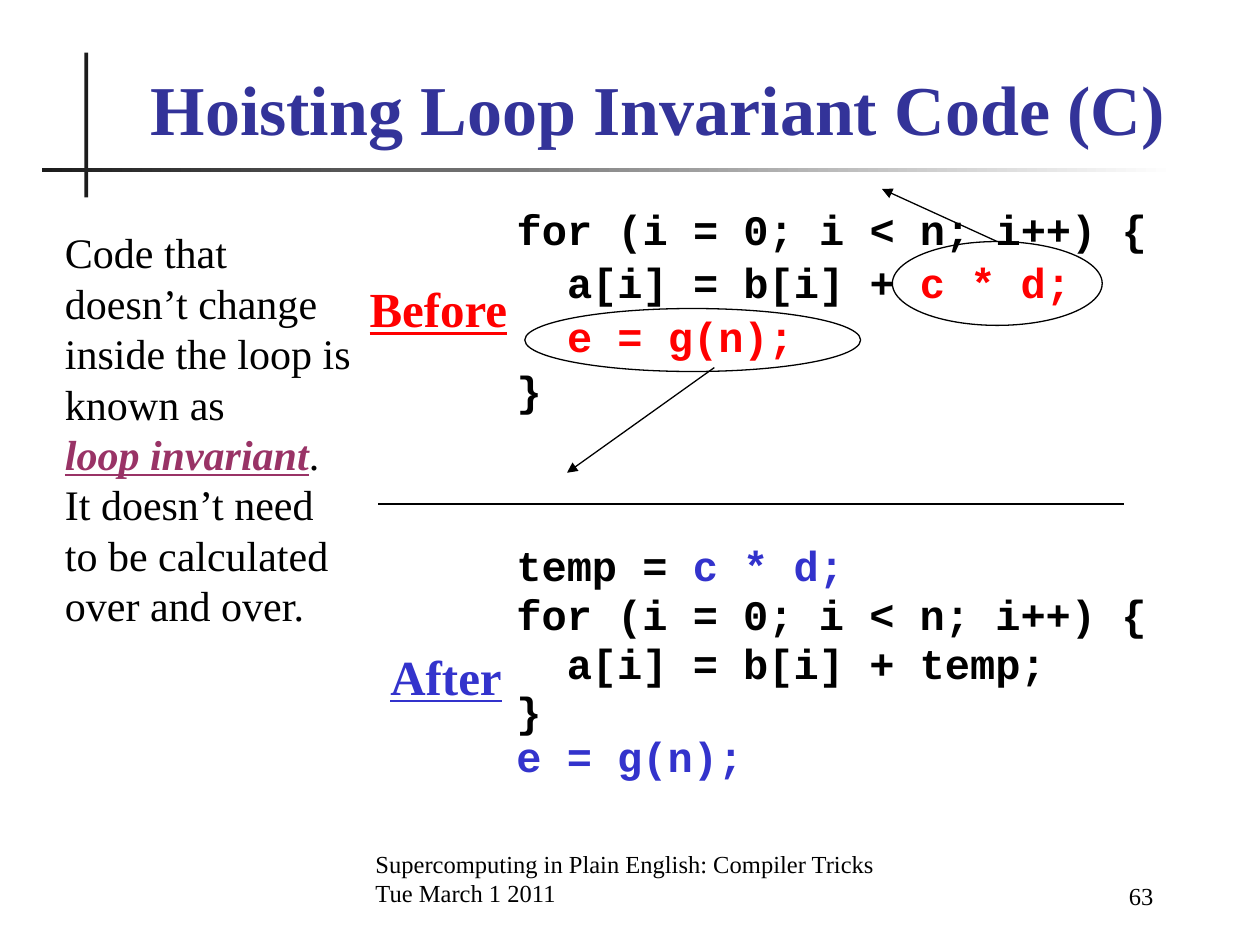
from dataclasses import dataclass

from lxml.etree import SubElement
from pptx import Presentation
from pptx.dml.color import RGBColor
from pptx.enum.shapes import MSO_CONNECTOR as Connector, MSO_SHAPE as Shape
from pptx.enum.text import MSO_ANCHOR as Anchor, MSO_AUTO_SIZE as AutoSize, PP_ALIGN as Align
from pptx.oxml.ns import qn
from pptx.util import Cm, Pt


@dataclass(frozen=True)
class Theme:
    serif: str = "Times New Roman"
    mono: str = "Courier New"
    title_size: int = 40
    label_size: int = 28
    text_size: int = 24
    footer_size: int = 14
    hairline: float = 0.75
    ink: str = "000000"
    rule: str = "1C1C1C"
    paper: str = "FFFFFF"
    title: str = "333399"
    before: str = "FF0000"
    after: str = "3333CC"
    term: str = "993366"


THEME = Theme()

# Content: each code line is (line spacing, [(text, colour), ...])
TITLE = "Hoisting Loop Invariant Code (C)"
CODE_BEFORE = [
    (1.0, [("for (i = 0; i < n; i++) {", None)]),
    (0.9, [("  a[i] = b[i] + ", None), ("c * d;", THEME.before)]),
    (0.9, [("  e = g(n);", THEME.before)]),
    (0.9, [("}", None)]),
]
CODE_AFTER = [
    (1.0, [("temp = ", None), ("c * d;", THEME.after)]),
    (0.8, [("for (i = 0; i < n; i++) {", None)]),
    (0.8, [("  a[i] = b[i] + temp;", None)]),
    (0.8, [("}", None)]),
    (0.7, [("e = g(n);", THEME.after)]),
]
EXPLANATION = [
    "Code that doesn’t change inside the loop is known as",
    "loop invariant",
    ". It doesn’t need to be calculated over and over.",
]
# Text, colour, box in cm
LABELS = [
    ("Before", THEME.before, (7.2, 5.5, 3.3, 1.44)),
    ("After", THEME.after, (7.62, 12.91, 2.76, 1.44)),
]
# Lines, alignment, box in cm
FOOTERS = [
    (["Supercomputing in Plain English: Compiler Tricks", "Tue March 1 2011"],
     Align.LEFT, (7.32, 17.15, 11.1, 1.27)),
    (["63"], Align.RIGHT, (19.9, 17.2, 3.6, 1.27)),
]

# Boxes in cm: left, top, width, height
TITLE_BOX = (2.12, 1.27, 22.28, 1.88)
BEFORE_BOX = (10.16, 3.81, 13.76, 6.77)
AFTER_BOX = (10.16, 10.58, 13.55, 6.56)
EXPLANATION_BOX = (1.06, 4.45, 6.35, 8.38)
VERTICAL_RULE = (1.7, 1.06, 0.08, 2.92)
HORIZONTAL_RULE = (0.85, 3.39, 22.86, 0.08)
PRODUCT_RING = (17.99, 4.87, 4.23, 1.69)
CALL_RING = (10.58, 6.22, 6.77, 1.27)

prs = Presentation()
prs.slide_width, prs.slide_height = Cm(25.4), Cm(19.05)
slide = prs.slides.add_slide(prs.slide_layouts[1])
shapes = slide.shapes


def cm(values):
    return [Cm(value) for value in values]


def style(font, size, color, face=THEME.serif, bold=False, underline=False):
    font.name, font.size, font.bold = face, Pt(size), bold
    font.color.rgb = RGBColor.from_string(color)
    if underline:
        font.underline = True


def place(holder, box):
    holder.left, holder.top, holder.width, holder.height = cm(box)
    holder.text_frame.auto_size = AutoSize.NONE
    return holder.text_frame


def add_text(box, wrap=True):
    frame = shapes.add_textbox(*cm(box)).text_frame
    frame.word_wrap = wrap
    return frame


def next_paragraph(frame, index):
    return frame.paragraphs[0] if index == 0 else frame.add_paragraph()


def fill_code(frame, lines):
    gap = Pt(THEME.text_size * 0.2)
    frame.margin_top += gap
    for index, (spacing, parts) in enumerate(lines):
        line = next_paragraph(frame, index)
        line.line_spacing = spacing
        line.space_before = gap if index else Pt(0)
        props = line._p.get_or_add_pPr()
        props.set("marL", str(Cm(0.95)))
        props.set("indent", str(-Cm(0.95)))
        SubElement(props, qn("a:buNone"))
        style(line.font, THEME.text_size, THEME.ink, THEME.mono, bold=True)
        for text, color in parts:
            run = line.add_run()
            run.text = text
            if color:
                run.font.color.rgb = RGBColor.from_string(color)


def add_rule(box):
    rule = shapes.add_shape(Shape.RECTANGLE, *cm(box))
    rule.shadow.inherit = False
    rule.line.fill.background()
    return rule


def outline(line):
    line.color.rgb = RGBColor.from_string(THEME.ink)
    line.width = Pt(THEME.hairline)


def add_ring(box):
    ring = shapes.add_shape(Shape.OVAL, *cm(box))
    ring.shadow.inherit = False
    ring.fill.background()
    outline(ring.line)
    return ring


def add_line(start, end, arrow=False):
    line = shapes.add_connector(Connector.STRAIGHT, *cm(start + end))
    outline(line.line)
    if arrow:
        SubElement(line.line._get_or_add_ln(), qn("a:tailEnd"), type="triangle")
    SubElement(line._element.spPr, qn("a:effectLst"))
    return line


# Crossed rules beside the title
vertical_rule = add_rule(VERTICAL_RULE)
vertical_rule.fill.solid()
vertical_rule.fill.fore_color.rgb = RGBColor.from_string(THEME.rule)
fade = add_rule(HORIZONTAL_RULE).fill
fade.gradient()
fade.gradient_angle = 0
for stop, color in zip(fade.gradient_stops, (THEME.rule, THEME.paper)):
    stop.color.rgb = RGBColor.from_string(color)

# Title
title = place(shapes.title, TITLE_BOX)
title.vertical_anchor = Anchor.BOTTOM
title.text = TITLE
title.paragraphs[0].alignment = Align.CENTER
style(title.paragraphs[0].font, THEME.title_size, THEME.title, bold=True)

# Code before and after, with labels
fill_code(place(slide.placeholders[1], BEFORE_BOX), CODE_BEFORE)
fill_code(add_text(AFTER_BOX), CODE_AFTER)
for text, color, box in LABELS:
    label = add_text(box, wrap=False)
    label.text = text
    style(label.paragraphs[0].font, THEME.label_size, color, bold=True, underline=True)

# Rings around the invariant code, arrows to its new place, divider
product_ring = add_ring(PRODUCT_RING)
add_ring(CALL_RING)
product_arrow = add_line((20.11, 4.87), (17.78, 3.81), arrow=True)
product_arrow.begin_connect(product_ring, 0)
add_line((14.4, 7.41), (11.43, 9.53), arrow=True)
add_line((7.62, 10.16), (22.65, 10.16))

# Explanation
explanation = add_text(EXPLANATION_BOX).paragraphs[0]
style(explanation.font, THEME.text_size, THEME.ink)
opening, term, closing = EXPLANATION
explanation.add_run().text = opening
explanation.add_line_break()
term_run = explanation.add_run()
term_run.text = term
style(term_run.font, THEME.text_size, THEME.term, bold=True, underline=True)
term_run.font.italic = True
explanation.add_run().text = closing

# Footer and page number
for lines, alignment, box in FOOTERS:
    footer = add_text(box)
    footer.vertical_anchor = Anchor.BOTTOM
    for index, text in enumerate(lines):
        line = next_paragraph(footer, index)
        line.text = text
        line.alignment = alignment
        style(line.font, THEME.footer_size, THEME.ink)

prs.save("out.pptx")
